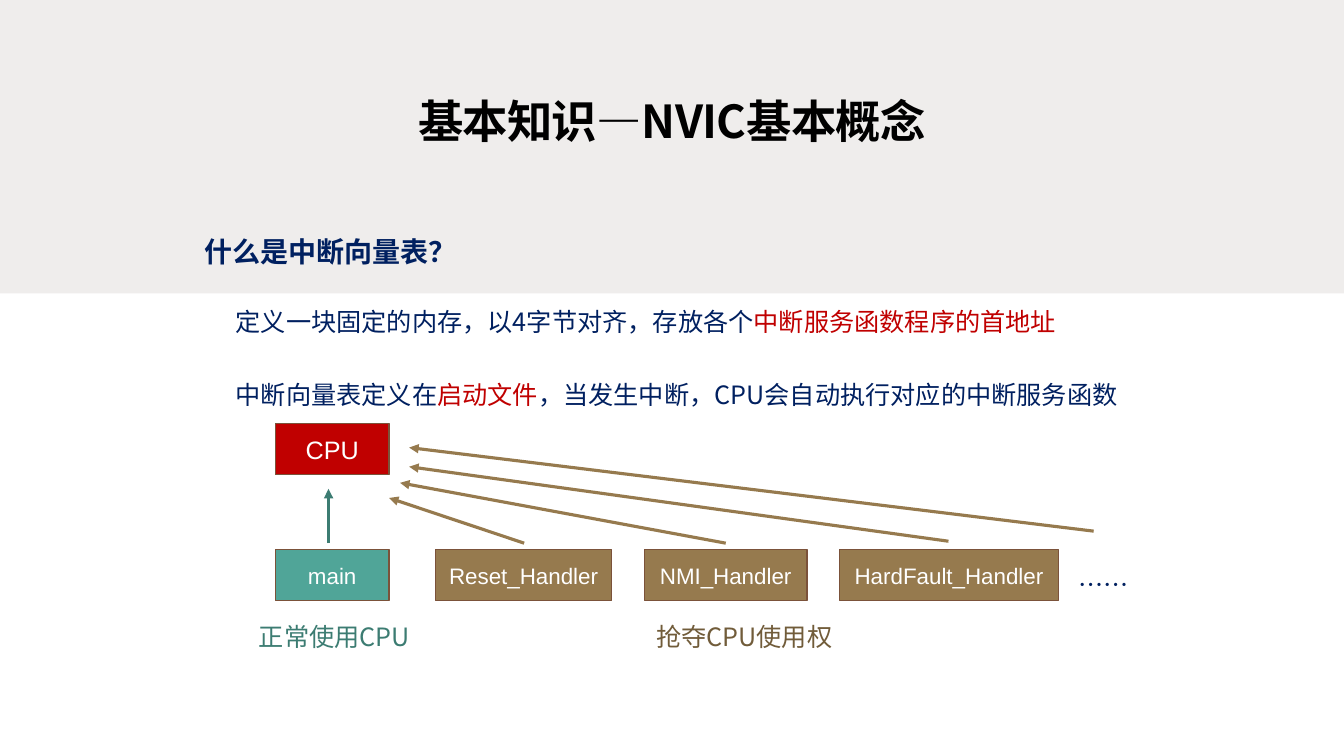
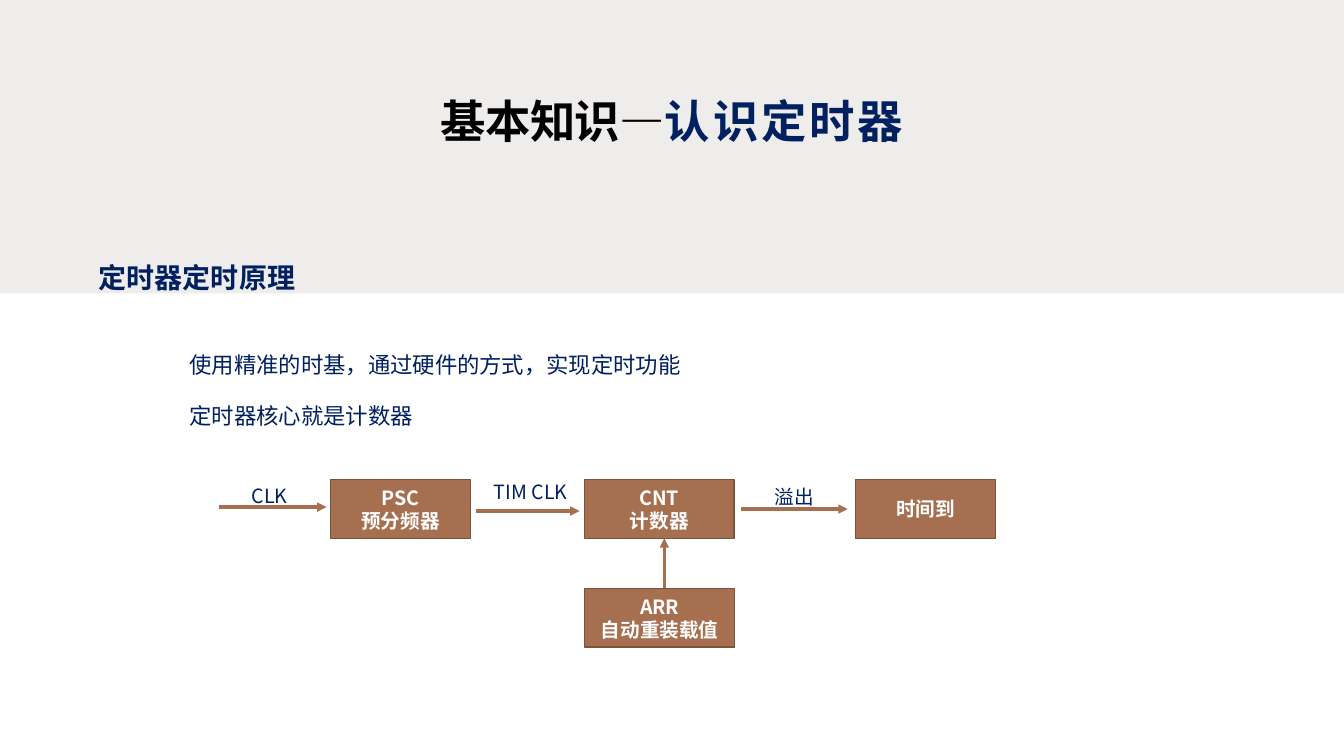
from dataclasses import dataclass, replace

from lxml import etree
from pptx import Presentation
from pptx.dml.color import RGBColor
from pptx.enum.shapes import MSO_CONNECTOR, MSO_SHAPE
from pptx.enum.text import MSO_ANCHOR, MSO_AUTO_SIZE, PP_ALIGN
from pptx.oxml.ns import qn
from pptx.util import Pt

STRAIGHT = MSO_CONNECTOR.STRAIGHT
RECTANGLE = MSO_SHAPE.RECTANGLE
TOP, MIDDLE = MSO_ANCHOR.TOP, MSO_ANCHOR.MIDDLE
LEFT, CENTER = PP_ALIGN.LEFT, PP_ALIGN.CENTER
GROW, FIXED = MSO_AUTO_SIZE.SHAPE_TO_FIT_TEXT, MSO_AUTO_SIZE.NONE

CJK_FONT, LATIN_FONT = "Noto Sans CJK SC", "Arial"
BLACK, WHITE, NAVY, RED = "000000", "FFFFFF", "002060", "C00000"
BAND, EDGE = "EFEDEC", "7B523A"
TEAL, DARK_TEAL = "50A598", "3C7C72"
TAN, DARK_TAN, BROWN = "967A4E", "715C3A", "A66F4F"
NORMAL_INSETS, TIGHT_INSETS = (7.2, 3.6), (3.6, 1.44)


@dataclass(frozen=True)
class Style:
    """Character formatting of a span."""
    size: float
    color: str = NAVY
    bold: bool = False
    font: str = CJK_FONT
    spacing: float = 0


TITLE = Style(32.4, BLACK, bold=True, spacing=-0.5)
HEADING = Style(20, bold=True)
BODY = Style(18)
POINT = Style(16)
LABEL = Style(14)
BLOCK = Style(14, WHITE, bold=True)
HANDLER = Style(16, WHITE, font=LATIN_FONT)


def rgb(color):
    """Turn a hex string into a colour."""
    return RGBColor.from_string(color)


def add_span(para, text, style):
    """Append one formatted run to a paragraph."""
    span = para.add_run()
    span.text = text
    font = span.font
    font.size, font.bold, font.name = Pt(style.size), style.bold, style.font
    font.color.rgb = rgb(style.color)
    properties = span._r.get_or_add_rPr()
    etree.SubElement(properties, qn("a:ea"), typeface=style.font)
    if style.spacing:
        properties.set("spc", str(round(style.spacing * 100)))


def fill_frame(frame, paragraphs, align=LEFT, anchor=TOP,
               insets=NORMAL_INSETS, line_spacing=1.0):
    """Write paragraphs, each a list of (text, style), into a text frame."""
    frame.word_wrap = True
    frame.vertical_anchor = anchor
    frame.margin_left = frame.margin_right = Pt(insets[0])
    frame.margin_top = frame.margin_bottom = Pt(insets[1])
    for index, spans in enumerate(paragraphs):
        para = frame.add_paragraph() if index else frame.paragraphs[0]
        para.alignment, para.line_spacing = align, line_spacing
        for text, style in spans:
            add_span(para, text, style)


def add_text(slide, bounds, spans, line_spacing=1.5, **layout):
    """Add a growing text box with one paragraph."""
    box = slide.shapes.add_textbox(*map(Pt, bounds))
    fill_frame(box.text_frame, [spans], line_spacing=line_spacing, **layout)
    box.text_frame.auto_size = GROW


def add_rectangle(slide, bounds, fill):
    """Add a flat rectangle without outline."""
    box = slide.shapes.add_shape(RECTANGLE, *map(Pt, bounds))
    box.shadow.inherit = False
    box.fill.solid()
    box.fill.fore_color.rgb = rgb(fill)
    box.line.fill.background()
    return box


def add_block(slide, bounds, fill, lines, style):
    """Add an outlined diagram block with centred lines of text."""
    box = add_rectangle(slide, bounds, fill)
    box.line.color.rgb = rgb(EDGE)
    box.line.width = Pt(1)
    fill_frame(box.text_frame, [[(line, style)] for line in lines],
               CENTER, MIDDLE)


def add_arrow(slide, start, end, color):
    """Add a straight arrow from start to end."""
    arrow = slide.shapes.add_connector(STRAIGHT, *map(Pt, start + end))
    arrow.line.color.rgb = rgb(color)
    arrow.line.width = Pt(2.25)
    etree.SubElement(arrow.line._get_or_add_ln(), qn("a:tailEnd"),
                     type="triangle")
    etree.SubElement(arrow.element.spPr, qn("a:effectLst"))


def prepare_layout(deck):
    """Give the title layout its band and title position."""
    layout = deck.slide_layouts.get_by_name("Title Only")
    title = layout.placeholders[0]
    title.left, title.top, title.width, title.height = map(
        Pt, (48, 61.2, 864, 49.7))
    return layout


def add_band(slide):
    """Put the grey band behind everything on the layout of a slide."""
    band = add_rectangle(slide, (0, 0, 960, 209.5), BAND)
    band.element.nvSpPr.cNvPr.set("id", "100")
    slide.slide_layout.shapes.element.insert(2, band.element)


def add_page(deck, layout, title_spans):
    """Add a slide with a formatted title."""
    slide = deck.slides.add_slide(layout)
    frame = slide.shapes.title.text_frame
    fill_frame(frame, [title_spans], CENTER, MIDDLE)
    frame.auto_size = FIXED
    return slide


def build_vector_table(slide):
    """Draw the page on the interrupt vector table."""
    red = replace(BODY, color=RED)
    add_text(slide, (142.6, 154.1, 341.3, 36),
             [("什么是中断向量表？", HEADING)], insets=TIGHT_INSETS)
    add_text(slide, (161.3, 204.5, 609.8, 36.7),
             [("定义一块固定的内存，以4字节对齐，存放各个", BODY),
              ("中断服务函数程序的首地址", red)])
    add_text(slide, (161.3, 256.3, 650.2, 36.7),
             [("中断向量表定义在", BODY), ("启动文件", red),
              ("，当发生中断，CPU会自动执行对应的中断服务函数", BODY)])

    row_top, height, gap = 392.4, 36.7, 23.4
    add_block(slide, (196.6, 302.4, 81.4, height), RED, ["CPU"],
              replace(HANDLER, size=18))
    add_block(slide, (196.6, row_top, 81.4, height), TEAL, ["main"], HANDLER)
    left = 311
    for name, width in (("Reset_Handler", 126), ("NMI_Handler", 116),
                        ("HardFault_Handler", 156.2)):
        add_block(slide, (left, row_top, width, height), TAN, [name], HANDLER)
        left += width + gap
    add_text(slide, (763.2, row_top, 59, height), [("……", BODY)])

    add_arrow(slide, (234.7, 388), (234.7, 349.2), DARK_TEAL)
    for start, end in (((374.4, 388), (277.9, 355.7)),
                       ((518.4, 388), (285.8, 344.9)),
                       ((677.5, 386.6), (292.3, 333.4)),
                       ((781.2, 379.4), (292.3, 319.7))):
        add_arrow(slide, start, end, TAN)
    for text, caption_left, width, color in (
            ("抢夺CPU使用权", 461.5, 173.5, DARK_TAN),
            ("正常使用CPU", 177.8, 126, DARK_TEAL)):
        add_text(slide, (caption_left, row_top + height, width, height),
                 [(text, replace(BODY, color=color))])


def build_timer(slide):
    """Draw the page on how a timer works."""
    add_text(slide, (67, 172.8, 295.2, 39.6),
             [("定时器定时原理", HEADING)], insets=TIGHT_INSETS)
    points = (("使用精准的时基，通过硬件的方式，实现定时功能", 445),
              ("定时器核心就是计数器", 233.3))
    for index, (text, width) in enumerate(points):
        add_text(slide, (131.8, 241.2 + 36 * index, width, 29.5),
                 [(text, POINT)], anchor=MIDDLE, insets=TIGHT_INSETS)

    row_top, height = 342.7, 41.8
    for left, top, width, lines in (
            (236.2, row_top, 100, ["PSC", "预分频器"]),
            (417.6, row_top, 106.6, ["CNT", "计数器"]),
            (611.3, row_top, 100, ["时间到"]),
            (417.6, 420.5, 107.3, ["ARR", "自动重装载值"])):
        add_block(slide, (left, top, width, height), BROWN, lines, BLOCK)

    for start, end in (((156.2, 362.2), (233.3, 362.2)),
                       ((339.8, 365), (414, 365)),
                       ((529.2, 363.6), (605.5, 363.6)),
                       ((474.5, 419.8), (474.5, 384.5))):
        add_arrow(slide, start, end, BROWN)
    for text, left, top, width, align in (
            ("CLK", 172.8, 342, 41, LEFT),
            ("TIM CLK", 345.6, 339.1, 75.6, LEFT),
            ("溢出", 540.7, 342.7, 53.3, CENTER)):
        add_text(slide, (left, top, width, 24.5), [(text, LABEL)],
                 line_spacing=1.0, align=align)


def main():
    """Build and save the deck."""
    deck = Presentation()
    deck.slide_width, deck.slide_height = Pt(960), Pt(540)
    layout = prepare_layout(deck)
    vector_page = add_page(deck, layout, [("基本知识—NVIC基本概念", TITLE)])
    add_band(vector_page)
    build_vector_table(vector_page)
    timer_page = add_page(
        deck, layout,
        [("基本知识—", TITLE),
         ("认识定时器", replace(TITLE, color=NAVY, spacing=2))])
    build_timer(timer_page)
    deck.save("out.pptx")


if __name__ == "__main__":
    main()
